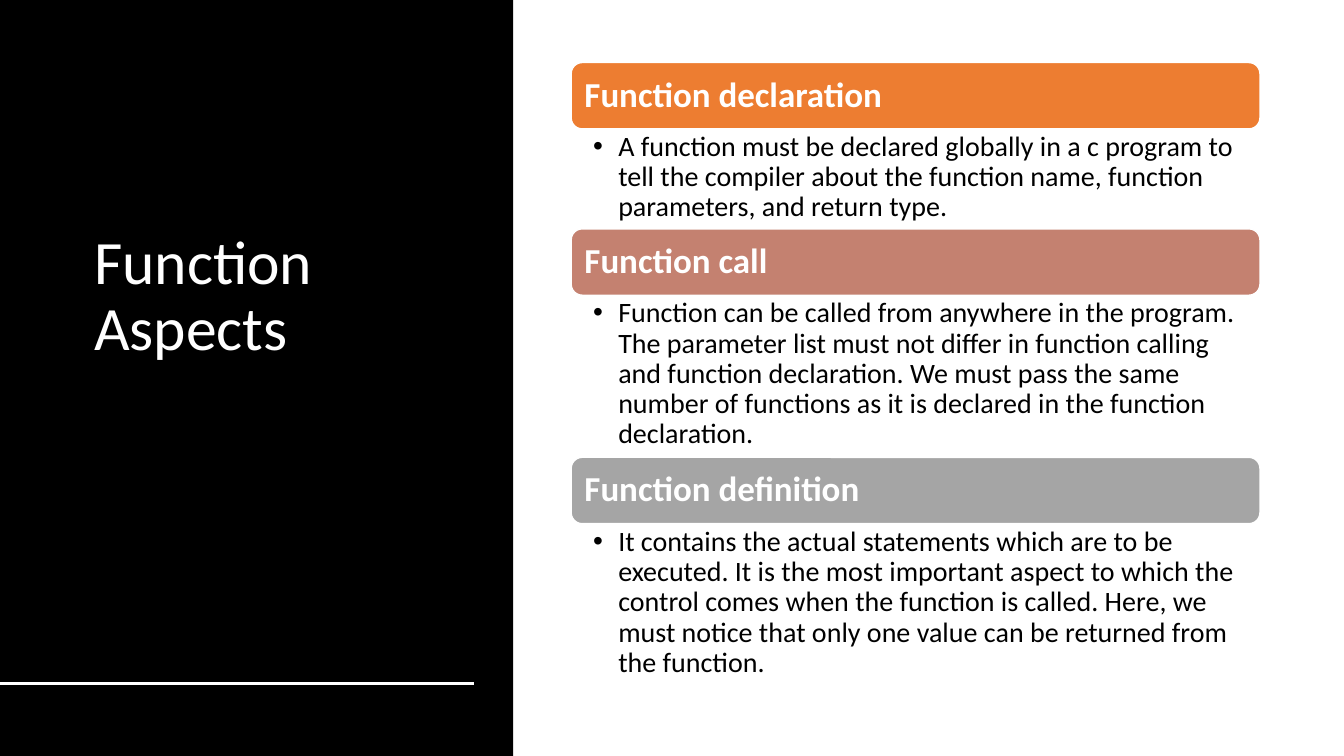
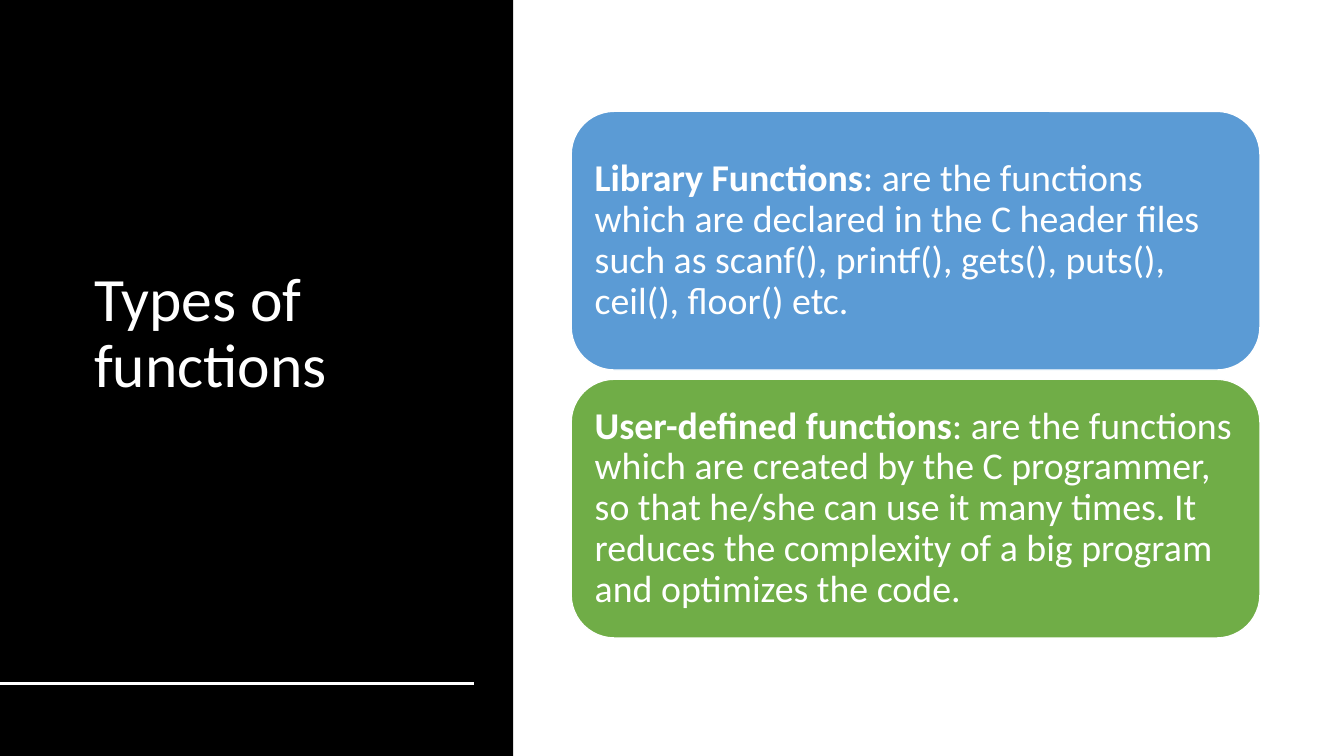
"""Build two slides about functions in C, with a dark title panel on the left."""
import lxml.etree
import pptx
import pptx.dml.color
import pptx.enum.shapes
import pptx.enum.text
import pptx.oxml
import pptx.oxml.ns
import pptx.util

RGBColor = pptx.dml.color.RGBColor
BLACK = RGBColor(0x00, 0x00, 0x00)
WHITE = RGBColor(0xFF, 0xFF, 0xFF)
ORANGE = RGBColor(0xED, 0x7D, 0x31)
ROSE = RGBColor(0xC4, 0x81, 0x70)
GRAY = RGBColor(0xA5, 0xA5, 0xA5)
BLUE = RGBColor(0x5B, 0x9B, 0xD5)
GREEN = RGBColor(0x70, 0xAD, 0x47)

FONT = "Calibri"
COLUMNS, ROWS = 160, 90
PANEL_COLUMNS = 61.1
CONTENT_LEFT, CONTENT_WIDTH = 68, 82
HEADING_ROWS = 7.9

ASPECTS = [
    ("Function declaration", ORANGE, 11.9,
     "A function must be declared globally in a c program to tell the compiler "
     "about the function name, function parameters, and return type."),
    ("Function call", ROSE, 19.3,
     "Function can be called from anywhere in the program. The parameter list must "
     "not differ in function calling and function declaration. We must pass the same "
     "number of functions as it is declared in the function declaration."),
    ("Function definition", GRAY, 19.3,
     "It contains the actual statements which are to be executed. It is the most "
     "important aspect to which the control comes when the function is called. Here, we "
     "must notice that only one value can be returned from the function."),
]
TYPES = [
    ("Library Functions", BLUE,
     ": are the functions which are declared in the C header files such as scanf(), "
     "printf(), gets(), puts(), ceil(), floor() etc."),
    ("User-defined functions", GREEN,
     ": are the functions which are created by the C programmer, so that he/she can use "
     "it many times. It reduces the complexity of a big program and optimizes the code."),
]


def write(frame, *runs, size, color=WHITE, middle=True, bullet=False):
    """Fill a text frame with one paragraph of (text, bold) runs."""
    frame.word_wrap = True
    frame.auto_size = pptx.enum.text.MSO_AUTO_SIZE.NONE
    anchor = pptx.enum.text.MSO_ANCHOR
    frame.vertical_anchor = anchor.MIDDLE if middle else anchor.TOP
    paragraph = frame.paragraphs[0]
    paragraph.alignment = pptx.enum.text.PP_ALIGN.LEFT
    paragraph.line_spacing = 0.9
    paragraph.space_before = paragraph.space_after = pptx.util.Pt(0)
    for text, bold in runs:
        run = paragraph.add_run()
        run.text = text
        run.font.name = FONT
        run.font.size = pptx.util.Pt(size)
        run.font.bold = bold
        run.font.color.rgb = color
    if bullet:
        indent = pptx.util.Inches(0.25)
        properties = paragraph._p.get_or_add_pPr()
        properties.set("marL", str(indent))
        properties.set("indent", str(-indent))
        mark = lxml.etree.SubElement(properties, pptx.oxml.ns.qn("a:buChar"))
        mark.set("char", "•")


class Deck:
    """Hold the presentation, its grid and the current slide."""

    def __init__(self):
        """Start an empty wide presentation."""
        self.presentation = pptx.Presentation()
        self.presentation.slide_width = pptx.util.Inches(13.33)
        self.presentation.slide_height = pptx.util.Inches(7.5)
        self.slide = None
        self.lists = []

    def across(self, columns):
        """Turn columns into a length."""
        return round(self.presentation.slide_width * columns / COLUMNS)

    def down(self, rows):
        """Turn rows into a length."""
        return round(self.presentation.slide_height * rows / ROWS)

    def box(self, left, top, width, height):
        """Turn grid places into left, top, width and height."""
        return self.across(left), self.down(top), self.across(width), self.down(height)

    def place(self, shape, *cells):
        """Move a shape to its place on the grid."""
        shape.left, shape.top, shape.width, shape.height = self.box(*cells)

    def inset(self, frame, left, top, right, bottom):
        """Set the margins of a text frame in grid cells."""
        frame.margin_left, frame.margin_right = self.across(left), self.across(right)
        frame.margin_top, frame.margin_bottom = self.down(top), self.down(bottom)

    def new_slide(self, title, layout, room_below=0.6):
        """Add a slide with its panel, title and rule."""
        chosen = self.presentation.slide_layouts.get_by_name(layout)
        self.slide = self.presentation.slides.add_slide(chosen)
        heading = self.slide.shapes.title
        self.lists = [shape for shape in self.slide.placeholders
                      if shape.placeholder_format.idx > 0]
        panel = self.filled(pptx.enum.shapes.MSO_SHAPE.RECTANGLE, BLACK,
                            0, 0, PANEL_COLUMNS, ROWS)
        panel.line.fill.background()
        heading.element.addprevious(panel.element)
        self.place(heading, 10, 7.3, 46.8, 65)
        self.inset(heading.text_frame, 1.2, 0.6, 1.2, room_below)
        write(heading.text_frame, (title, False), size=44)
        self.rule(81.4, 56.4)

    def filled(self, kind, color, *cells):
        """Add a plain filled shape with a thin white outline."""
        shape = self.slide.shapes.add_shape(kind, *self.box(*cells))
        shape.shadow.inherit = False
        shape.fill.solid()
        shape.fill.fore_color.rgb = color
        shape.line.color.rgb = WHITE
        shape.line.width = pptx.util.Pt(1)
        return shape

    def rule(self, row, width):
        """Add a white line from the left edge."""
        line = self.slide.shapes.add_connector(
            pptx.enum.shapes.MSO_CONNECTOR.STRAIGHT,
            0, self.down(row), self.across(width), self.down(row))
        line.line.color.rgb = WHITE
        line.line.width = pptx.util.Pt(2)
        lxml.etree.SubElement(line.element.spPr, pptx.oxml.ns.qn("a:effectLst"))

    def card(self, color, top, height, inset, *runs, size):
        """Add a rounded card with white text."""
        card = self.filled(pptx.enum.shapes.MSO_SHAPE.ROUNDED_RECTANGLE, color,
                           CONTENT_LEFT, top, CONTENT_WIDTH, height)
        self.inset(card.text_frame, inset, inset, inset, inset)
        write(card.text_frame, *runs, size=size)

    def bullet(self, text, top, height):
        """Put a bulleted text into the next body placeholder."""
        body = self.lists.pop(0)
        self.place(body, CONTENT_LEFT, top, CONTENT_WIDTH, height)
        self.inset(body.text_frame, 2.6, 0.4, 2.3, 0.4)
        write(body.text_frame, (text, False), size=20, color=BLACK,
              middle=False, bullet=True)

    def drop_unused(self):
        """Remove the placeholders left empty."""
        for body in self.lists:
            body.element.getparent().remove(body.element)


def main():
    """Build both slides and save them."""
    deck = Deck()

    deck.new_slide("Function Aspects", "Comparison", room_below=9.4)
    top = 7.45
    for name, color, rows, text in ASPECTS:
        deck.card(color, top, HEADING_ROWS, 1.2, (name, True), size=25)
        deck.bullet(text, top + HEADING_ROWS, rows)
        top += HEADING_ROWS + rows
    deck.drop_unused()

    deck.new_slide("Types of functions", "Title Only")
    card_rows, gap = 30.8, 1.1
    for index, (name, color, text) in enumerate(TYPES):
        deck.card(color, 13.25 + index * (card_rows + gap), card_rows, 1.3,
                  (name, True), (text, False), size=27)
    deck.drop_unused()

    deck.presentation.save("out.pptx")


if __name__ == "__main__":
    main()
